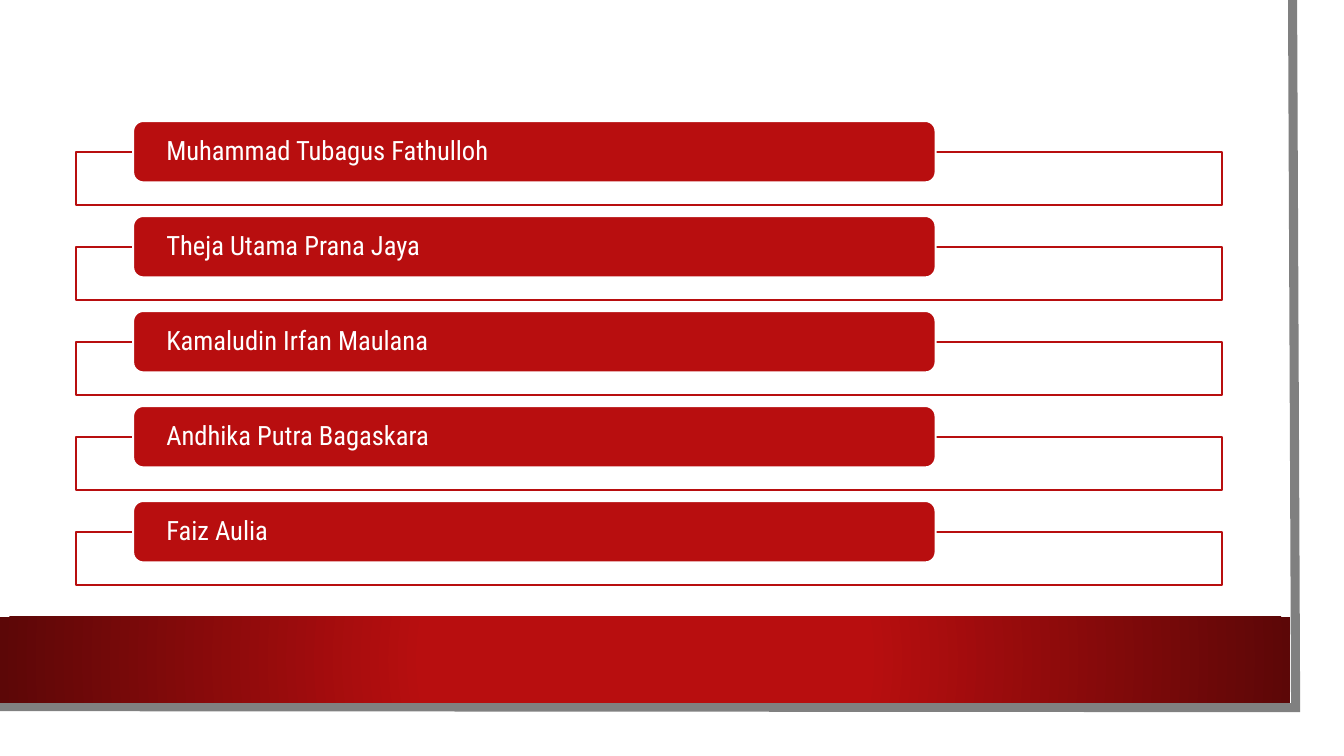
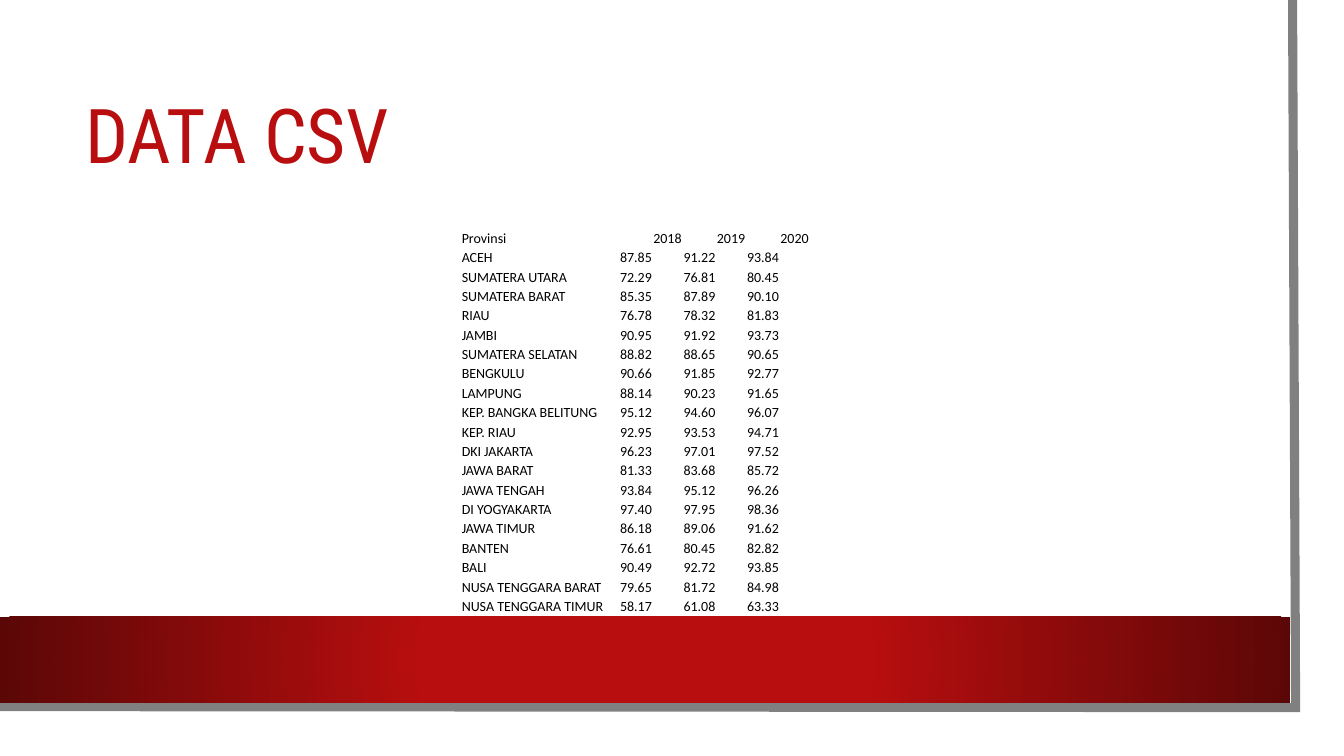
from pptx import Presentation
from pptx.dml.color import RGBColor
from pptx.enum.shapes import MSO_SHAPE
from pptx.enum.text import MSO_ANCHOR, PP_ALIGN
from pptx.oxml import parse_xml
from pptx.oxml.ns import nsdecls
from pptx.util import Inches, Pt

COLORS = {
    "red": "B80E0F",
    "dark_red": "5C0707",
    "white": "FFFFFF",
    "gray": "808080",
    "black": "000000",
}
HEADING_FONT = "Roboto Condensed"
TABLE_FONT = "Calibri"

MEMBERS = [
    "Muhammad Tubagus Fathulloh",
    "Theja Utama Prana Jaya",
    "Kamaludin Irfan Maulana",
    "Andhika Putra Bagaskara",
    "Faiz Aulia",
]
FIRST_BAR_TOP, LAST_BAR_TOP = 1.2, 4.97
FRAME_DROP = 0.31

PROVINCES = [
    ("Provinsi", "2018", "2019", "2020"),
    ("ACEH", "87.85", "91.22", "93.84"),
    ("SUMATERA UTARA", "72.29", "76.81", "80.45"),
    ("SUMATERA BARAT", "85.35", "87.89", "90.10"),
    ("RIAU", "76.78", "78.32", "81.83"),
    ("JAMBI", "90.95", "91.92", "93.73"),
    ("SUMATERA SELATAN", "88.82", "88.65", "90.65"),
    ("BENGKULU", "90.66", "91.85", "92.77"),
    ("LAMPUNG", "88.14", "90.23", "91.65"),
    ("KEP. BANGKA BELITUNG", "95.12", "94.60", "96.07"),
    ("KEP. RIAU", "92.95", "93.53", "94.71"),
    ("DKI JAKARTA", "96.23", "97.01", "97.52"),
    ("JAWA BARAT", "81.33", "83.68", "85.72"),
    ("JAWA TENGAH", "93.84", "95.12", "96.26"),
    ("DI YOGYAKARTA", "97.40", "97.95", "98.36"),
    ("JAWA TIMUR", "86.18", "89.06", "91.62"),
    ("BANTEN", "76.61", "80.45", "82.82"),
    ("BALI", "90.49", "92.72", "93.85"),
    ("NUSA TENGGARA BARAT", "79.65", "81.72", "84.98"),
    ("NUSA TENGGARA TIMUR", "58.17", "61.08", "63.33"),
]
COLUMN_WIDTHS = [1.57, 0.63, 0.63, 0.63]


def rgb(name):
    return RGBColor.from_string(COLORS[name])


def box(left, top, width, height):
    return Inches(left), Inches(top), Inches(width), Inches(height)


def add_run(paragraph, text, font, size, color):
    run = paragraph.add_run()
    run.text = text
    run.font.name = font
    run.font.size = Pt(size)
    run.font.color.rgb = rgb(color)


def add_panel(slide, preset, place, fill, line=None):
    panel = slide.shapes.add_shape(preset, *box(*place))
    panel.shadow.inherit = False
    panel.fill.solid()
    panel.fill.fore_color.rgb = rgb(fill)
    if line:
        panel.line.color.rgb = rgb(line)
        panel.line.width = Pt(1.5)
    else:
        panel.line.fill.background()
    return panel


def add_page_edge(slide):
    builder = slide.shapes.build_freeform(Inches(12.82), 0)
    corners = [(12.85, 7.02), (-0.03, 7.01)]
    builder.add_line_segments([(Inches(x), Inches(y)) for x, y in corners], close=False)
    edge = builder.convert_to_shape()
    edge.shadow.inherit = False
    edge.fill.background()
    edge.line.color.rgb = rgb("gray")
    edge.line.width = Pt(6.5)
    edge.line._ln.append(parse_xml(f'<a:miter {nsdecls("a")} lim="800000"/>'))


def add_footer_band(slide):
    band = add_panel(slide, MSO_SHAPE.RECTANGLE, (0, 6.12, 12.8, 0.85), "red")
    stops = "".join(
        f'<a:gs pos="{position}"><a:srgbClr val="{COLORS[color]}"/></a:gs>'
        for position, color in [(34000, "red"), (100000, "dark_red")]
    )
    gradient = parse_xml(
        f'<a:gradFill {nsdecls("a")} rotWithShape="1"><a:gsLst>{stops}</a:gsLst>'
        '<a:path path="circle"><a:fillToRect l="50000" t="50000" r="50000" b="50000"/></a:path>'
        "</a:gradFill>"
    )
    properties = band._element.spPr
    properties.replace(properties.find(f"{{{properties.nsmap['a']}}}solidFill"), gradient)


def add_page(deck):
    slide = deck.slides.add_slide(deck.slide_layouts[6])
    add_page_edge(slide)
    add_footer_band(slide)
    return slide


def add_title(slide, text):
    title = slide.shapes.add_textbox(*box(0.75, 0.75, 11.37, 1.26)).text_frame
    title.word_wrap = True
    title.vertical_anchor = MSO_ANCHOR.MIDDLE
    title.paragraphs[0].line_spacing = 0.9
    add_run(title.paragraphs[0], text, HEADING_FONT, 54, "red")


def add_member(slide, name, top):
    add_panel(slide, MSO_SHAPE.RECTANGLE, (0.75, top + FRAME_DROP, 11.37, 0.52), "white", "red")
    bar = add_panel(slide, MSO_SHAPE.ROUNDED_RECTANGLE, (1.32, top, 7.96, 0.61), "red", "white")
    label = bar.text_frame
    label.word_wrap = True
    label.vertical_anchor = MSO_ANCHOR.MIDDLE
    label.margin_left = label.margin_right = Inches(0.3)
    label.margin_top = label.margin_bottom = 0
    paragraph = label.paragraphs[0]
    paragraph.alignment = PP_ALIGN.LEFT
    paragraph.line_spacing = 0.9
    add_run(paragraph, name, HEADING_FONT, 19, "white")


def fill_cell(cell, text, alignment):
    cell.fill.background()
    cell.vertical_anchor = MSO_ANCHOR.BOTTOM
    cell.margin_left = cell.margin_right = cell.margin_top = Inches(0.01)
    cell.margin_bottom = 0
    paragraph = cell.text_frame.paragraphs[0]
    paragraph.alignment = alignment
    add_run(paragraph, text, TABLE_FONT, 10, "black")


def add_province_table(slide):
    place = box(4.57, 2.26, sum(COLUMN_WIDTHS), 3.85)
    table = slide.shapes.add_table(len(PROVINCES), len(COLUMN_WIDTHS), *place).table
    table.first_row = table.horz_banding = False
    for column, width in zip(table.columns, COLUMN_WIDTHS):
        column.width = Inches(width)
    for row, values in enumerate(PROVINCES):
        for column, value in enumerate(values):
            is_year = row == 0 and column > 0
            fill_cell(table.cell(row, column), value, PP_ALIGN.RIGHT if is_year else PP_ALIGN.LEFT)


def main():
    deck = Presentation()
    deck.slide_width, deck.slide_height = Inches(13.33), Inches(7.5)

    members = add_page(deck)
    pitch = (LAST_BAR_TOP - FIRST_BAR_TOP) / (len(MEMBERS) - 1)
    for index, name in enumerate(MEMBERS):
        add_member(members, name, FIRST_BAR_TOP + index * pitch)

    data = add_page(deck)
    add_title(data, "DATA CSV")
    add_province_table(data)

    deck.save("out.pptx")


if __name__ == "__main__":
    main()
